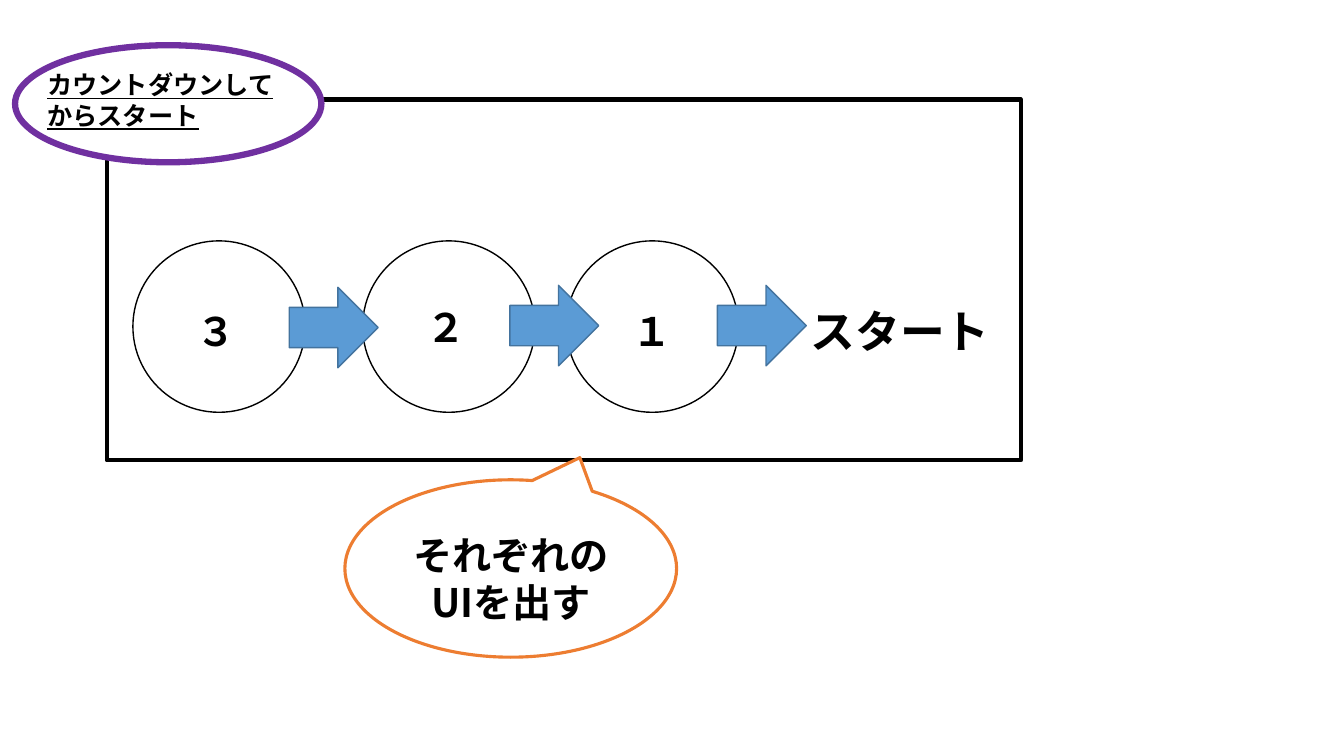
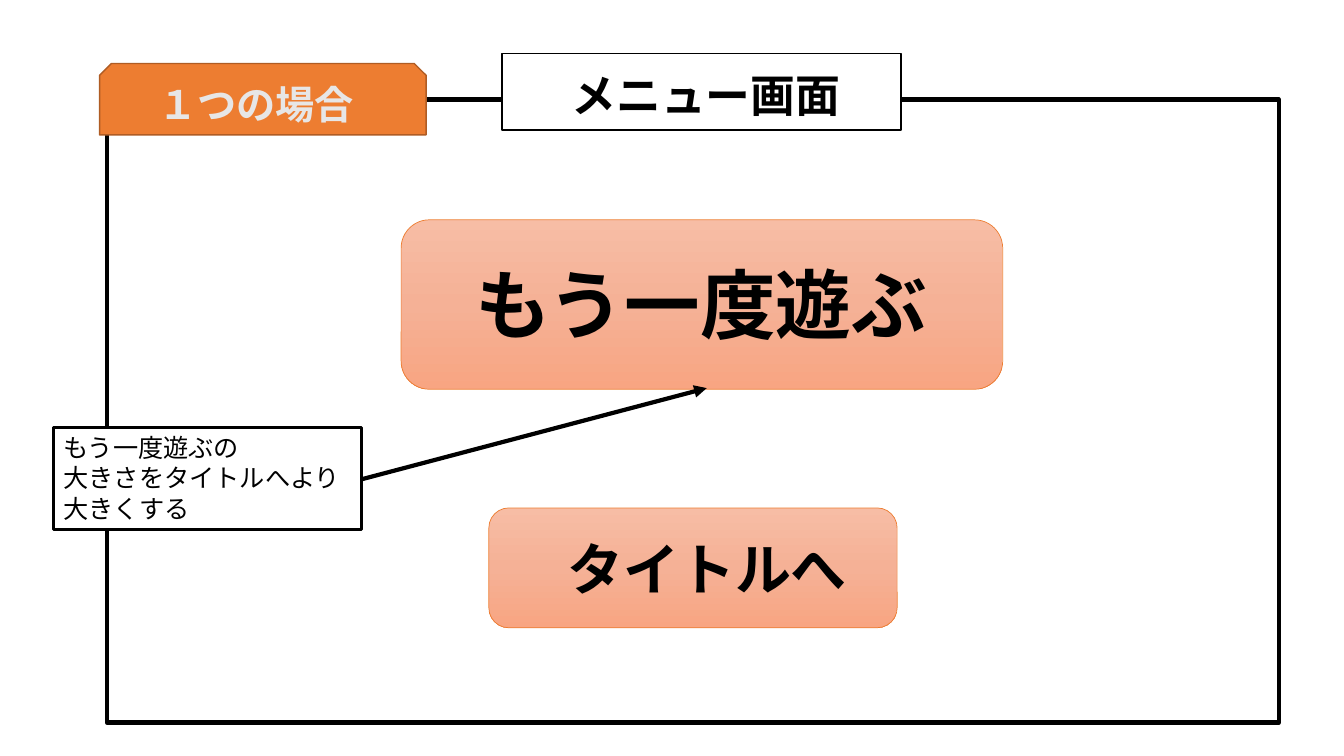
from copy import deepcopy

from lxml.etree import SubElement
from pptx import Presentation
from pptx.dml.color import RGBColor
from pptx.enum.lang import MSO_LANGUAGE_ID as Language
from pptx.enum.shapes import MSO_CONNECTOR as Connector, MSO_SHAPE as Shape
from pptx.enum.text import MSO_ANCHOR as Anchor, MSO_AUTO_SIZE as AutoSize, PP_ALIGN as Align
from pptx.oxml.ns import qn
from pptx.util import Cm, Pt

FONT = "Noto Sans CJK JP"
BLACK, WHITE, PALE = "000000", "FFFFFF", "E7E6E6"
PURPLE, ORANGE, BROWN = "7030A0", "ED7D31", "AF5C24"
BLUE, NAVY = "5B9BD5", "43739E"
BUTTON = ("F7BDA5", "F5B196", "F8A582")


def rgb(value):
    return RGBColor.from_string(value)


class Deck:
    """Holds the shared style and the slide being drawn."""

    def __init__(self):
        self.presentation = Presentation()
        self.presentation.slide_width = Cm(33.87)
        self.presentation.slide_height = Cm(19.05)
        self.slide = None

    def add_slide(self):
        layout = self.presentation.slide_layouts[5]
        self.slide = self.presentation.slides.add_slide(layout)

    def set_text(self, shape, text, size, color=BLACK, align=Align.CENTER, bold=True, underline=False):
        frame = shape.text_frame
        frame.text = text
        frame.word_wrap = True
        frame.auto_size = AutoSize.NONE
        frame.vertical_anchor = Anchor.TOP
        style = {"name": FONT, "size": Pt(size), "bold": bold, "underline": underline,
                 "language_id": Language.JAPANESE}
        for paragraph in frame.paragraphs:
            paragraph.alignment = align
            for run in paragraph.runs:
                for name, value in style.items():
                    setattr(run.font, name, value)
                run.font.color.rgb = rgb(color)
                SubElement(run.font._element, qn("a:ea"), typeface=FONT)

    def title(self, box, text, size, **style):
        title = self.slide.shapes.title
        for name, value in zip(("left", "top", "width", "height"), box):
            setattr(title, name, Cm(value))
        self.set_text(title, text, size, align=Align.LEFT, **style)
        self.slide.shapes._spTree.append(title._element)

    def text(self, box, text, size, **style):
        shape = self.slide.shapes.add_textbox(*map(Cm, box))
        self.set_text(shape, text, size, **style)

    def shape(self, kind, box, fill=WHITE, line=BLACK, width=1, rotation=0):
        shape = self.slide.shapes.add_shape(kind, *map(Cm, box))
        shape.shadow.inherit = False
        shape.rotation = rotation
        shape.fill.solid()
        shape.fill.fore_color.rgb = rgb(fill)
        shape.line.color.rgb = rgb(line)
        shape.line.width = Pt(width)
        return shape

    def frame(self, width, height):
        self.shape(Shape.RECTANGLE, (2.69, 2.51, width, height), width=3)

    def button(self, box, text_box, text, size):
        shape = self.shape(Shape.ROUNDED_RECTANGLE, box, line=ORANGE, width=0.5)
        shape.fill.gradient()
        shape.fill.gradient_angle = 270
        stop_list = shape._element.spPr.find(qn("a:gradFill")).find(qn("a:gsLst"))
        stop_list.append(deepcopy(stop_list[0]))
        for index, (stop, color) in enumerate(zip(shape.fill.gradient_stops, BUTTON)):
            stop.position = index / 2
            stop.color.rgb = rgb(color)
        self.text(text_box, text, size)

    def arrow(self, start, end, width):
        connector = self.slide.shapes.add_connector(Connector.STRAIGHT, *map(Cm, start + end))
        connector.line.color.rgb = rgb(BLACK)
        connector.line.width = Pt(width)
        line = connector._element.spPr.find(qn("a:ln"))
        SubElement(line, qn("a:tailEnd"), type="triangle")
        SubElement(connector._element.spPr, qn("a:effectLst"))


def countdown(deck):
    deck.add_slide()
    deck.frame(23.04, 9.09)
    deck.shape(Shape.OVAL, (0.38, 1.14, 7.72, 2.95), line=PURPLE, width=4.5)
    deck.title((0.94, 1.63, 6.35, 1.8), "カウントダウンしてからスタート", 18, underline=True)
    counts = (("３", 3.35, 4.06, 7.62), ("２", 9.14, 9.86, 7.52), ("１", 14.27, 15.06, 7.62))
    for digit, circle_left, digit_left, digit_top in counts:
        deck.shape(Shape.OVAL, (circle_left, 6.07, 4.34, 4.32))
        deck.text((digit_left, digit_top, 2.77, 1.45), digit, 28)
    for left, top in ((7.29, 7.24), (12.85, 7.19), (18.08, 7.19)):
        deck.shape(Shape.RIGHT_ARROW, (left, top, 2.24, 2.03), BLUE, NAVY)
    deck.text((18.42, 7.54, 8.53, 1.63), "スタート", 32)
    deck.shape(Shape.OVAL_CALLOUT, (8.69, 12.09, 8.36, 4.47), line=ORANGE, width=2.25, rotation=180)
    deck.text((9.93, 13.26, 5.89, 2.64), "それぞれのUIを出す", 28)


def menu(deck):
    deck.add_slide()
    deck.frame(29.54, 15.7)
    deck.button((10.11, 5.54, 15.16, 4.27), (11.51, 6.38, 12.32, 2.57), "もう一度遊ぶ", 54)
    deck.shape(Shape.SNIP_2_SAME_RECTANGLE, (2.51, 1.6, 8.23, 1.8), ORANGE, BROWN)
    deck.text((2.79, 1.91, 7.32, 1.45), "１つの場合", 28, color=PALE)
    deck.shape(Shape.RECTANGLE, (12.65, 1.35, 10.06, 1.93))
    deck.title((14.15, 1.57, 7.6, 1.63), "メニュー画面", 32)
    deck.button((12.32, 12.8, 10.29, 3.02), (11.66, 13.34, 12.32, 1.96), "タイトルへ", 40)
    note = deck.shape(Shape.RECTANGLE, (1.35, 10.77, 7.77, 2.57), width=2.25)
    deck.set_text(note, "もう一度遊ぶの\n大きさをタイトルへより大きくする", 18, align=Align.LEFT, bold=False)
    deck.arrow((9.14, 12.07), (17.81, 9.78), 3)


def main():
    deck = Deck()
    countdown(deck)
    menu(deck)
    deck.presentation.save("out.pptx")


if __name__ == "__main__":
    main()
